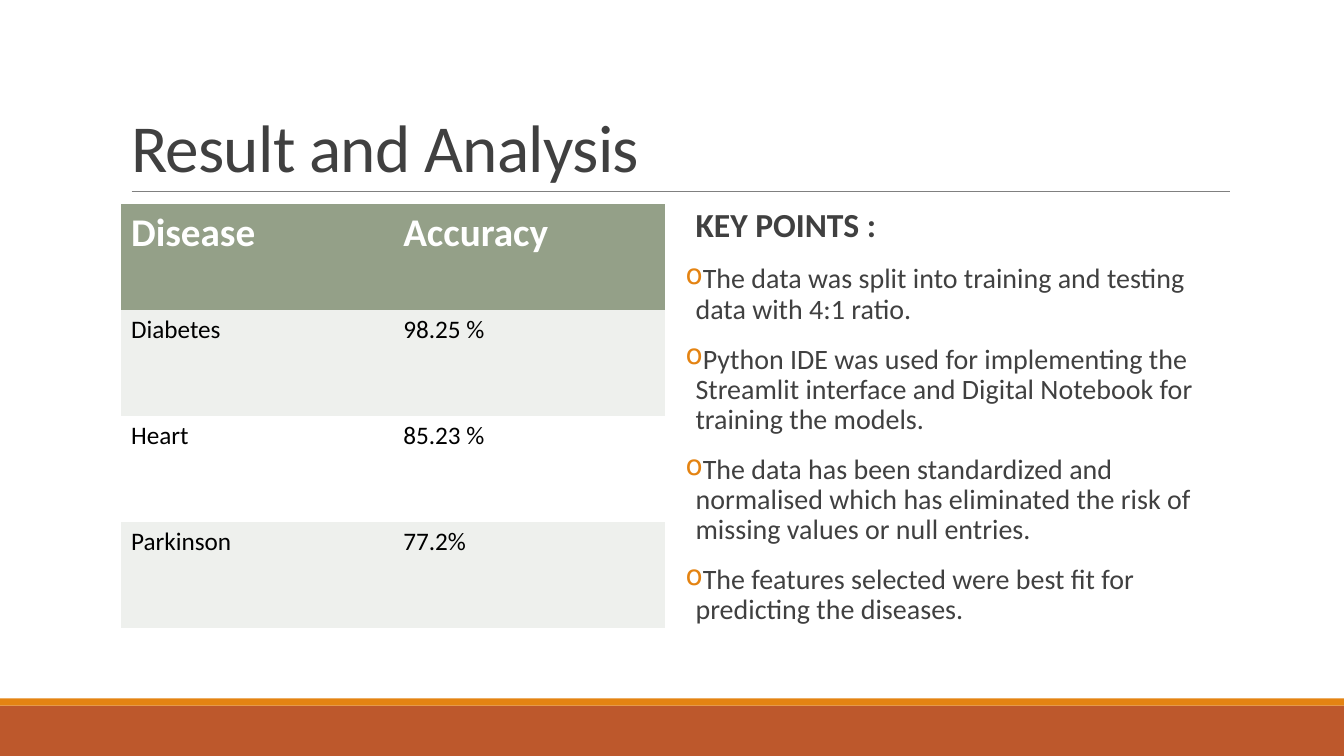
from lxml.etree import SubElement
from pptx import Presentation
from pptx.dml.color import RGBColor
from pptx.enum.shapes import MSO_CONNECTOR, MSO_SHAPE
from pptx.enum.text import MSO_ANCHOR, MSO_AUTO_SIZE, PP_ALIGN
from pptx.oxml.ns import qn
from pptx.util import Cm, Pt

TITLE = "Result and Analysis"
ACCURACY_ROWS = [
    ("Disease", "Accuracy"),
    ("Diabetes", "98.25 %"),
    ("Heart", "85.23 %"),
    ("Parkinson", "77.2%"),
]
KEY_HEADING = "KEY POINTS :"
KEY_POINTS = [
    "The data was split into training and testing data with 4:1 ratio.",
    "Python IDE was used for implementing the Streamlit interface and "
    "Digital Notebook for training the models.",
    "The data has been standardized and normalised which has eliminated "
    "the risk of missing values or null entries.",
    "The features selected were best fit for predicting the diseases.",
]

FONT = "Calibri"
WHITE = RGBColor(0xFF, 0xFF, 0xFF)
BLACK = RGBColor(0x00, 0x00, 0x00)
DARK_GRAY = RGBColor(0x40, 0x40, 0x40)
RULE_GRAY = RGBColor(0x80, 0x80, 0x80)
RUST = RGBColor(0xBD, 0x58, 0x2C)
ORANGE = RGBColor(0xE4, 0x83, 0x12)
SAGE = RGBColor(0x94, 0xA0, 0x88)
PALE_SAGE = RGBColor(0xEE, 0xF0, 0xED)
PLAIN_TABLE_STYLE = "{2D5ABB26-0587-4C30-8999-92F81FD0307C}"

SLIDE_WIDTH, SLIDE_HEIGHT = Cm(33.87), Cm(19.05)
LEFT, CONTENT_TOP = Cm(3.05), Cm(5.14)
COLUMN_WIDTH, ROW_HEIGHT = Cm(6.86), Cm(2.67)
BULLET_INDENT = Cm(0.25)
BANDS = [(Cm(17.78), Cm(1.27), RUST), (Cm(17.6), Cm(0.18), ORANGE)]


def add_run(paragraph, text, size, color, bold=False):
    run = paragraph.add_run()
    run.text = text
    run.font.name = FONT
    run.font.size = Pt(size)
    run.font.bold = bold
    run.font.color.rgb = color
    return run


def add_bands(slide):
    for top, height, color in BANDS:
        band = slide.shapes.add_shape(MSO_SHAPE.RECTANGLE, 0, top, SLIDE_WIDTH, height)
        band.shadow.inherit = False
        band.fill.solid()
        band.fill.fore_color.rgb = color
        band.line.fill.background()


def add_title(slide):
    title = slide.shapes.title
    title.left, title.top, title.width, title.height = LEFT, Cm(0.79), Cm(27.94), Cm(4.04)
    frame = title.text_frame
    frame.auto_size = MSO_AUTO_SIZE.NONE
    frame.vertical_anchor = MSO_ANCHOR.BOTTOM
    paragraph = frame.paragraphs[0]
    paragraph.alignment = PP_ALIGN.LEFT
    paragraph.line_spacing = 0.85
    run = add_run(paragraph, TITLE, 48, DARK_GRAY)
    run.font._element.set("spc", "-50")

    rule = slide.shapes.add_connector(
        MSO_CONNECTOR.STRAIGHT, Cm(3.32), Cm(4.83), Cm(31), Cm(4.83))
    rule.line.color.rgb = RULE_GRAY
    rule.line.width = Pt(0.5)
    SubElement(rule.element.spPr, qn("a:effectLst"))


def add_accuracy_table(slide):
    row_count, column_count = len(ACCURACY_ROWS), len(ACCURACY_ROWS[0])
    table_frame = slide.shapes.add_table(
        row_count, column_count, LEFT, CONTENT_TOP,
        COLUMN_WIDTH * column_count, ROW_HEIGHT * row_count)
    for style in table_frame.element.iter(qn("a:tableStyleId")):
        style.text = PLAIN_TABLE_STYLE
    for row, values in enumerate(ACCURACY_ROWS):
        is_header = row == 0
        fill = SAGE if is_header else PALE_SAGE if row % 2 else WHITE
        size, color = (28, WHITE) if is_header else (18, BLACK)
        for column, value in enumerate(values):
            cell = table_frame.table.cell(row, column)
            cell.fill.solid()
            cell.fill.fore_color.rgb = fill
            add_run(cell.text_frame.paragraphs[0], value, size, color, is_header)


def set_bullet(paragraph):
    properties = paragraph._p.get_or_add_pPr()
    properties.set("indent", str(-BULLET_INDENT))
    color = SubElement(properties, qn("a:buClr"))
    SubElement(color, qn("a:srgbClr"), val=str(ORANGE))
    SubElement(properties, qn("a:buChar"), char="o")


def add_key_points(slide):
    box = slide.shapes.add_textbox(Cm(17.28), CONTENT_TOP, Cm(13.72), Cm(11.18))
    frame = box.text_frame
    frame.word_wrap = True
    frame.margin_left = frame.margin_right = 0
    for index, text in enumerate([KEY_HEADING] + KEY_POINTS):
        is_heading = index == 0
        paragraph = frame.paragraphs[0] if is_heading else frame.add_paragraph()
        paragraph.line_spacing = 0.9
        paragraph.space_before, paragraph.space_after = Pt(12), Pt(2)
        paragraph._p.get_or_add_pPr().set("marL", str(BULLET_INDENT))
        if not is_heading:
            set_bullet(paragraph)
        add_run(paragraph, text, 24 if is_heading else 20, DARK_GRAY, is_heading)


def main():
    presentation = Presentation()
    presentation.slide_width, presentation.slide_height = SLIDE_WIDTH, SLIDE_HEIGHT
    slide = presentation.slides.add_slide(presentation.slide_layouts[5])
    add_bands(slide)
    add_title(slide)
    add_accuracy_table(slide)
    add_key_points(slide)
    presentation.save("out.pptx")


if __name__ == "__main__":
    main()
